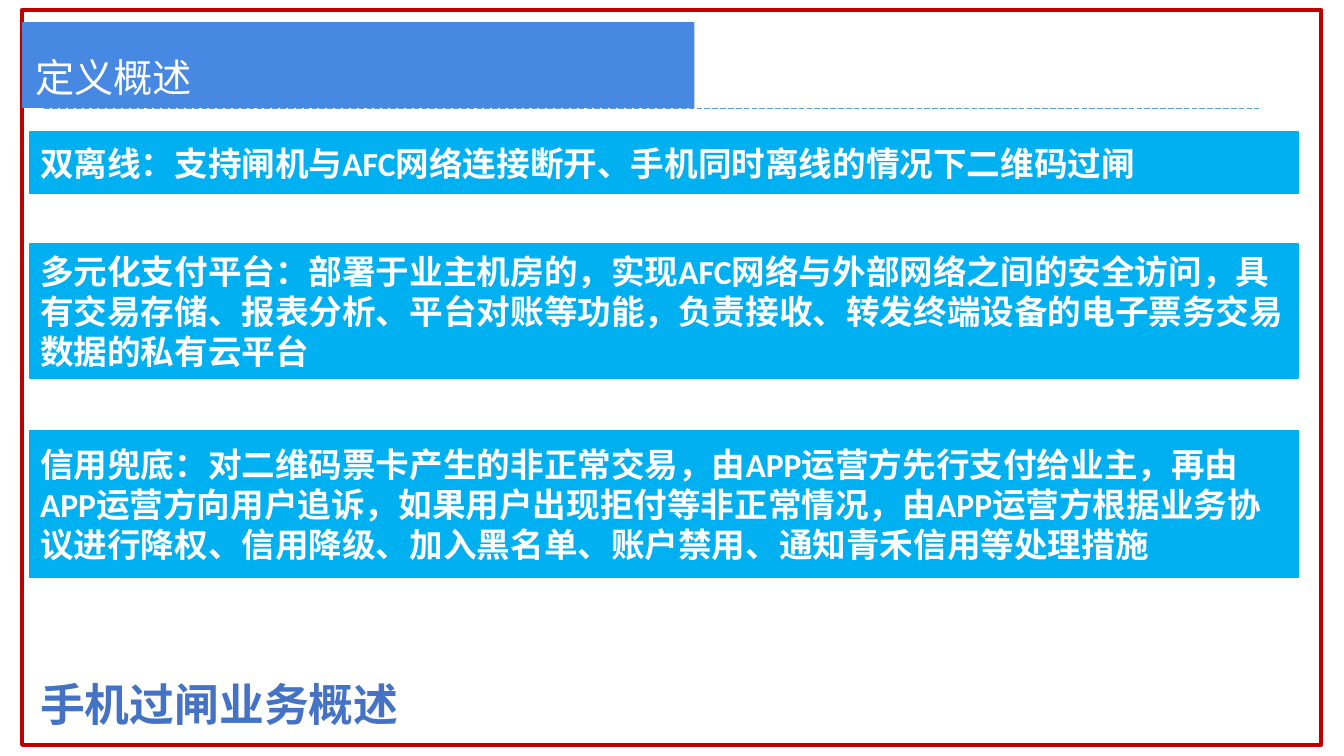
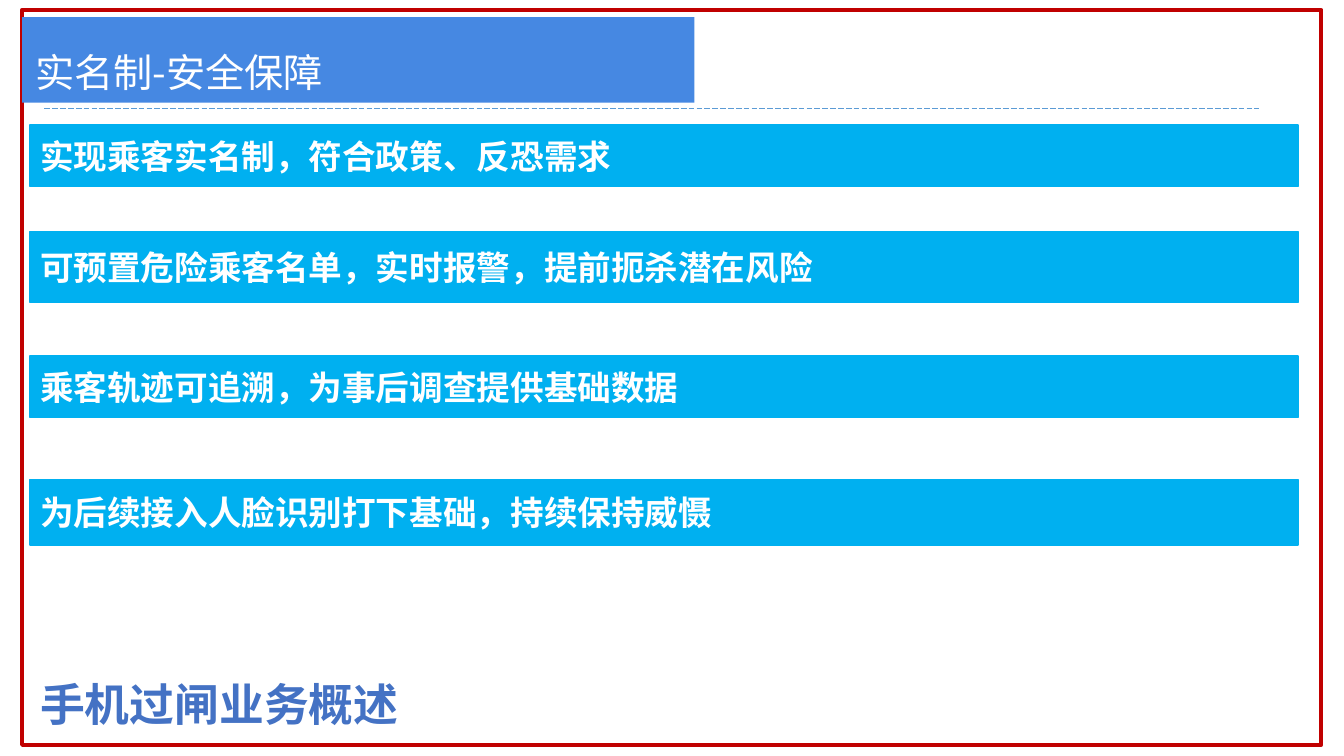
from lxml.etree import SubElement
from pptx import Presentation
from pptx.dml.color import RGBColor
from pptx.enum.dml import MSO_LINE
from pptx.enum.shapes import MSO_CONNECTOR, MSO_SHAPE
from pptx.enum.text import MSO_ANCHOR, PP_ALIGN
from pptx.oxml.ns import qn
from pptx.util import Cm, Pt

COLOURS = {
    "white": "FFFFFF",
    "frame": "C00000",
    "title": "4688E2",
    "rule": "5B9BD5",
    "band": "00B0F0",
    "footer": "4472C4",
}
CJK_FONT = "Noto Sans CJK SC"
BODY_FONT = "Calibri"
FOOTER = "手机过闸业务概述"

SLIDES = [
    ("定义概述", 0.56, [
        (3.33, 1.55, "双离线：支持闸机与AFC网络连接断开、手机同时离线的情况下二维码过闸"),
        (6.15, 3.38, "多元化支付平台：部署于业主机房的，实现AFC网络与外部网络之间的安全访问，"
                     "具有交易存储、报表分析、平台对账等功能，负责接收、转发终端设备的电子票务交易"
                     "数据的私有云平台"),
        (10.85, 3.71, "信用兜底：对二维码票卡产生的非正常交易，由APP运营方先行支付给业主，再由APP"
                      "运营方向用户追诉，如果用户出现拒付等非正常情况，由APP运营方根据业务协议进行"
                      "降权、信用降级、加入黑名单、账户禁用、通知青禾信用等处理措施"),
    ]),
    ("实名制-安全保障", 0.43, [
        (3.15, 1.55, "实现乘客实名制，符合政策、反恐需求"),
        (5.84, 1.78, "可预置危险乘客名单，实时报警，提前扼杀潜在风险"),
        (8.97, 1.55, "乘客轨迹可追溯，为事后调查提供基础数据"),
        (12.09, 1.65, "为后续接入人脸识别打下基础，持续保持威慑"),
    ]),
]


def colour(name):
    return RGBColor.from_string(COLOURS[name])


class Deck:
    def __init__(self):
        self.presentation = Presentation()
        self.presentation.slide_width = Cm(33.87)
        self.presentation.slide_height = Cm(19.05)
        self.slide = None

    def add_slide(self):
        layout = self.presentation.slide_layouts[6]
        self.slide = self.presentation.slides.add_slide(layout)

    def set_text(self, shape, text, size, ink, font_name=CJK_FONT, bold=False, spacing=1.0):
        frame = shape.text_frame
        frame.word_wrap = True
        frame.text = text
        paragraph = frame.paragraphs[0]
        paragraph.alignment = PP_ALIGN.LEFT
        paragraph.line_spacing = spacing
        font = paragraph.runs[0].font
        font.name = font_name
        font.size = Pt(size)
        font.bold = bold
        font.color.rgb = colour(ink)
        properties = paragraph.runs[0]._r.get_or_add_rPr()
        SubElement(properties, qn("a:ea")).set("typeface", CJK_FONT)
        return frame

    def rectangle(self, left, top, width, height, fill=None, line=None, line_width=1):
        shape = self.slide.shapes.add_shape(
            MSO_SHAPE.RECTANGLE, Cm(left), Cm(top), Cm(width), Cm(height))
        shape.shadow.inherit = False
        if fill:
            shape.fill.solid()
            shape.fill.fore_color.rgb = colour(fill)
        else:
            shape.fill.background()
        if line:
            shape.line.color.rgb = colour(line)
            shape.line.width = Pt(line_width)
        else:
            shape.line.fill.background()
        return shape

    def footer(self, text):
        box = self.slide.shapes.add_textbox(Cm(0.76), Cm(17.07), Cm(31.65), Cm(2.24))
        self.set_text(box, text, 32, "footer", bold=True, spacing=0.9)

    def rule(self):
        connector = self.slide.shapes.add_connector(
            MSO_CONNECTOR.STRAIGHT, Cm(1.12), Cm(2.72), Cm(31.72), Cm(2.72))
        connector.line.color.rgb = colour("rule")
        connector.line.width = Pt(0.5)
        connector.line.dash_style = MSO_LINE.LONG_DASH
        SubElement(connector._element.spPr, qn("a:effectLst"))

    def frame(self):
        self.rectangle(0.56, 0.25, 32.74, 18.52, line="frame", line_width=3)

    def title(self, text, top):
        shape = self.rectangle(0.56, top, 16.94, 2.16, fill="title")
        frame = self.set_text(shape, text, 28, "white", spacing=1.5)
        frame.vertical_anchor = MSO_ANCHOR.MIDDLE
        frame.margin_left = frame.margin_right = Cm(0.33)
        frame.margin_top = frame.margin_bottom = Cm(0.18)

    def band(self, top, height, text):
        shape = self.rectangle(0.76, top, 31.95, height, fill="band", line="band")
        frame = self.set_text(shape, text, 24, "white", BODY_FONT, bold=True)
        frame.vertical_anchor = MSO_ANCHOR.MIDDLE


def main():
    deck = Deck()
    for title, title_top, bands in SLIDES:
        deck.add_slide()
        deck.footer(FOOTER)
        deck.rule()
        deck.frame()
        deck.title(title, title_top)
        for top, height, text in bands:
            deck.band(top, height, text)
    deck.presentation.save("out.pptx")


if __name__ == "__main__":
    main()
